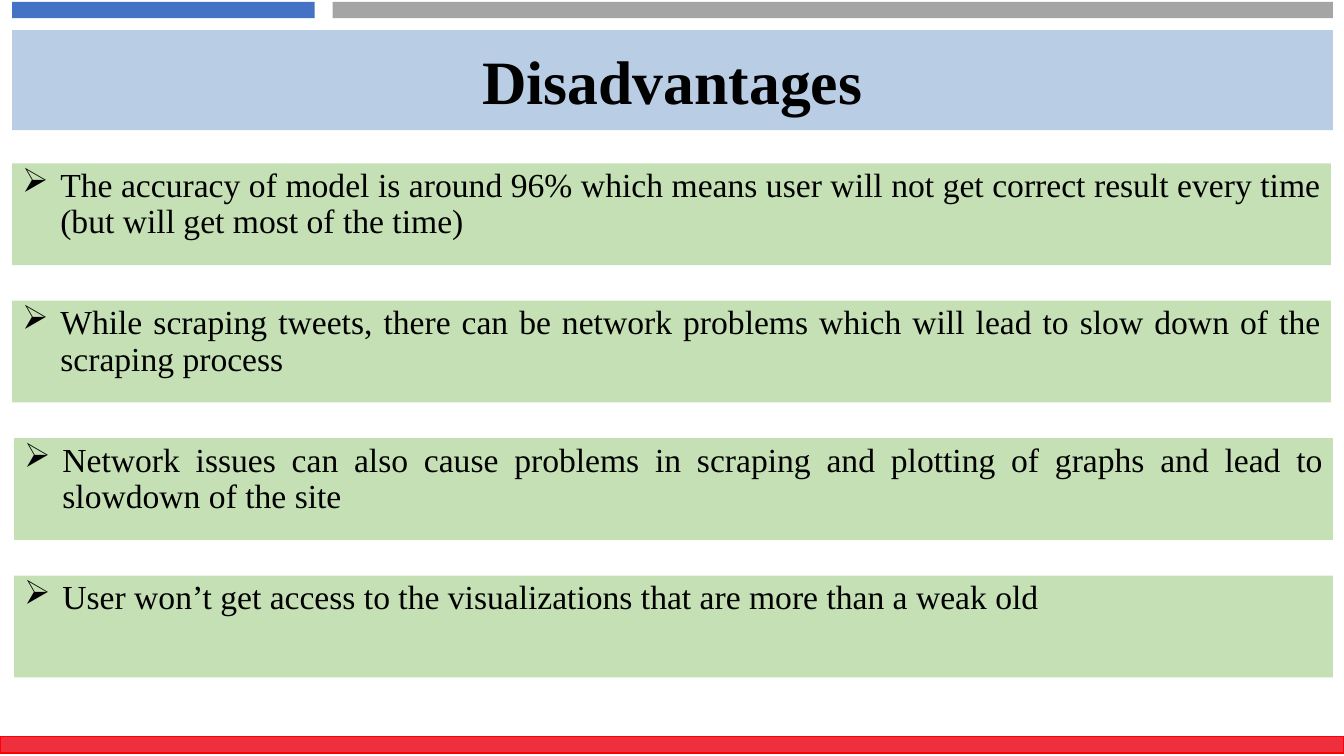
from lxml import etree
from pptx import Presentation
from pptx.dml.color import RGBColor
from pptx.enum.shapes import MSO_SHAPE
from pptx.enum.text import MSO_ANCHOR, PP_ALIGN
from pptx.oxml.ns import qn
from pptx.util import Inches, Pt

RECTANGLE = MSO_SHAPE.RECTANGLE
TOP, MIDDLE = MSO_ANCHOR.TOP, MSO_ANCHOR.MIDDLE
CENTER, JUSTIFY = PP_ALIGN.CENTER, PP_ALIGN.JUSTIFY

COLORS = {
    "blue": "4472C4",
    "gray": "A5A5A5",
    "title": "B9CDE5",
    "green": "C5E0B4",
    "red": "EE303E",
    "red_line": "FF0000",
    "text": "000000",
}

# Left edge and wording of each disadvantage
DISADVANTAGES = [
    (0.12, "The accuracy of model is around 96% which means user will not get "
           "correct result every time (but will get most of the time)"),
    (0.12, "While scraping tweets, there can be network problems which will "
           "lead to slow down of the scraping process"),
    (0.14, "Network issues can also cause problems in scraping and plotting of "
           "graphs and lead to slowdown of the site"),
    (0.14, "User won’t get access to the visualizations that are more than a "
           "weak old"),
]
FIRST_TOP, LAST_TOP = 1.62, 5.71
PITCH = (LAST_TOP - FIRST_TOP) / (len(DISADVANTAGES) - 1)


class SlideBuilder:
    """Holds the text style and the slide being built."""

    font = "Times New Roman"
    bullet = "➢"
    indent = 0.38

    def __init__(self, slide):
        """Keep the slide to draw on."""
        self.slide = slide

    def color(self, name):
        """Return a named colour."""
        return RGBColor.from_string(COLORS[name])

    def bar(self, left, top, width, height, fill, line=None):
        """Add a filled rectangle, outlined only when a line is named."""
        bar = self.slide.shapes.add_shape(
            RECTANGLE, Inches(left), Inches(top), Inches(width), Inches(height))
        bar.shadow.inherit = False
        bar.fill.solid()
        bar.fill.fore_color.rgb = self.color(fill)
        if line:
            bar.line.color.rgb = self.color(line)
            bar.line.width = Pt(1)
        else:
            bar.line.fill.background()
        return bar

    def label(self, bar, wording, size, align, anchor, bold=False):
        """Put styled text in a bar and return its paragraph."""
        frame = bar.text_frame
        frame.word_wrap = True
        frame.vertical_anchor = anchor
        frame.text = wording
        paragraph = frame.paragraphs[0]
        paragraph.alignment = align
        font = paragraph.runs[0].font
        font.name, font.size, font.bold = self.font, Pt(size), bold
        font.color.rgb = self.color("text")
        return paragraph

    def title(self, wording):
        """Add the title band."""
        band = self.bar(0.12, 0.3, 13.1, 0.99, "title")
        self.label(band, wording, 44, CENTER, MIDDLE, bold=True)

    def point(self, left, top, wording):
        """Add a green panel with one bulleted point."""
        panel = self.bar(left, top, 13.08, 1.01, "green")
        paragraph = self.label(panel, wording, 24, JUSTIFY, TOP)
        paragraph.line_spacing = 0.9
        paragraph.space_before = Pt(10)
        properties = paragraph._p.get_or_add_pPr()
        properties.set("marL", str(Inches(self.indent)))
        properties.set("indent", str(-Inches(self.indent)))
        etree.SubElement(properties, qn("a:buChar")).set("char", self.bullet)


presentation = Presentation()
presentation.slide_width = Inches(13.33)
presentation.slide_height = Inches(7.5)
blank = presentation.slide_layouts[6]
builder = SlideBuilder(presentation.slides.add_slide(blank))

builder.bar(0.12, 0.02, 3, 0.16, "blue")
builder.bar(3.3, 0.02, 9.92, 0.16, "gray")
builder.title("Disadvantages")
for row, (left, wording) in enumerate(DISADVANTAGES):
    builder.point(left, FIRST_TOP + row * PITCH, wording)
builder.bar(0, 7.31, 13.33, 0.16, "red", line="red_line")

presentation.save("out.pptx")
